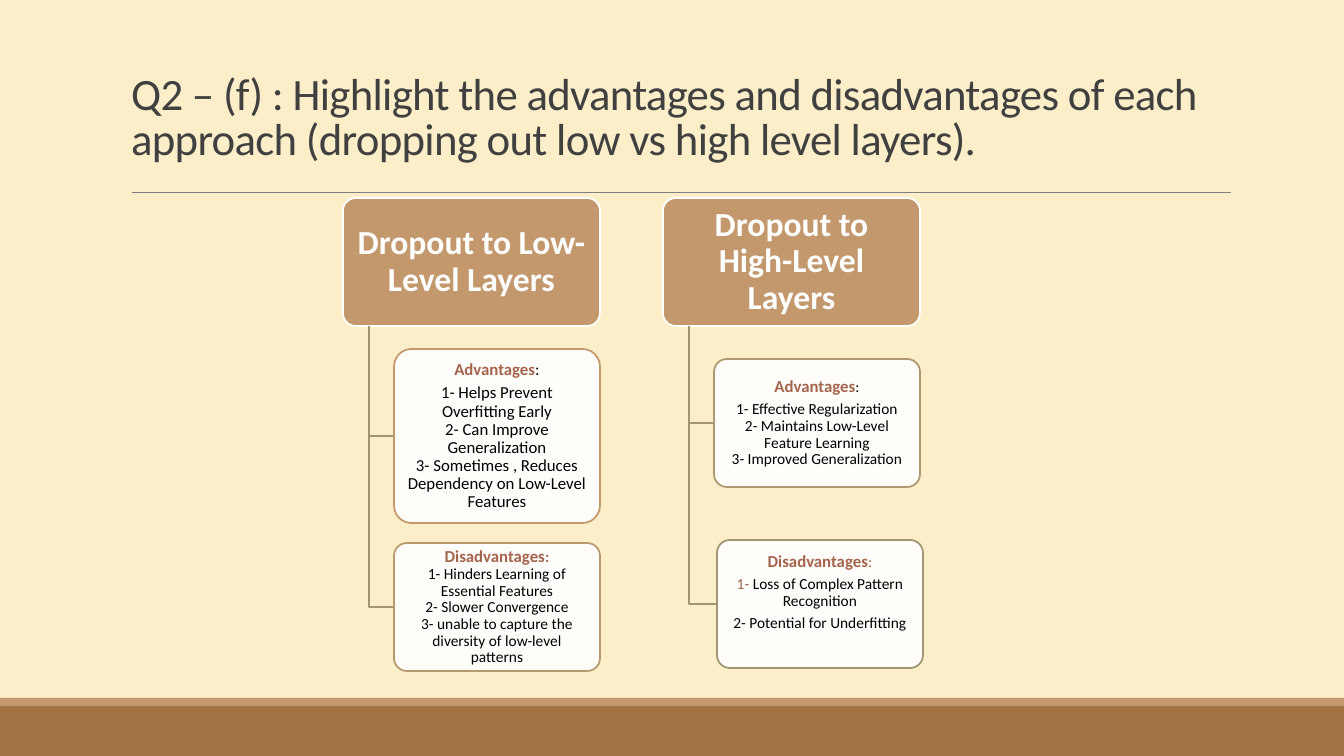
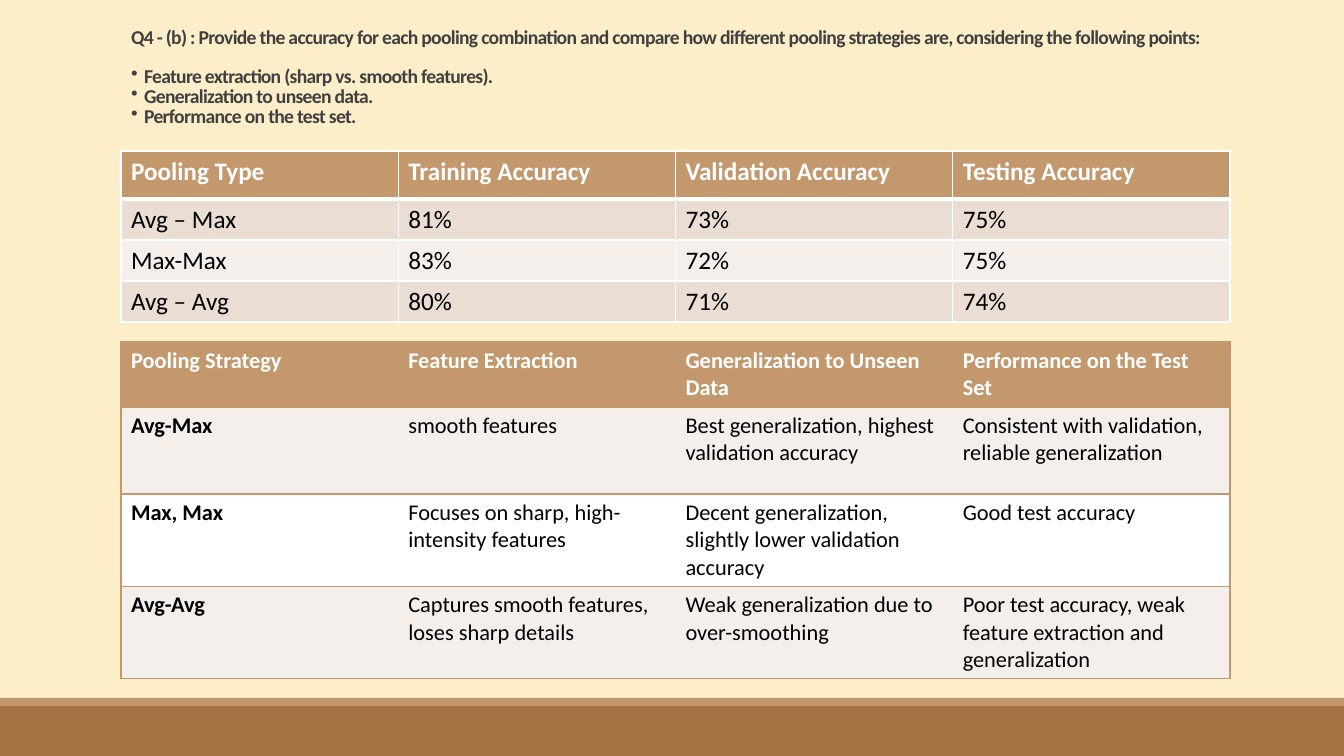
"""Build two slides on dropout placement and pooling strategies."""
from lxml.etree import SubElement
from pptx import Presentation
from pptx.dml.color import RGBColor
from pptx.enum.shapes import MSO_CONNECTOR, MSO_SHAPE
from pptx.enum.text import MSO_ANCHOR, MSO_AUTO_SIZE, PP_ALIGN
from pptx.oxml.ns import qn
from pptx.util import Pt

FONT = "Calibri"
CREAM = RGBColor(0xFB, 0xEE, 0xC9)
BROWN = RGBColor(0xA2, 0x72, 0x42)
TAN = RGBColor(0xC3, 0x98, 0x6D)
SAND = RGBColor(0xB8, 0x99, 0x6F)
KHAKI = RGBColor(0xAD, 0x98, 0x71)
OLIVE = RGBColor(0xA1, 0x95, 0x74)
RUST = RGBColor(0xA5, 0x64, 0x4E)
GRAY = RGBColor(0x80, 0x80, 0x80)
CHARCOAL = RGBColor(0x40, 0x40, 0x40)
BEIGE = RGBColor(0xE9, 0xDD, 0xD4)
PALE = RGBColor(0xF5, 0xEF, 0xEB)
WHITE = RGBColor(0xFF, 0xFF, 0xFF)
BLACK = RGBColor(0, 0, 0)

SLIDE_WIDTH, SLIDE_HEIGHT = 1344, 756
CONTENT_LEFT, CONTENT_WIDTH = 121, 1109
BANDS = [(698, 8, TAN), (706, 50, BROWN)]
RULE = (132, 1231, 192)

DROPOUT_TITLE = [
    "Q2 – (f) : Highlight the advantages and disadvantages of each approach "
    "(dropping out low vs high level layers)."
]
POOLING_TITLE = [
    "Q4 - (b) : Provide the accuracy for each pooling combination and compare how "
    "different pooling strategies are, considering the following points:",
    "Feature extraction (sharp vs. smooth features).",
    "Generalization to unseen data.",
    "Performance on the test set.",
]

HEAD_TOP, HEAD_WIDTH, HEAD_HEIGHT = 198, 257, 128
TRUNK_OFFSET, LEAF_OFFSET, LEAF_WIDTH = 26, 51, 206
BRANCHES = [
    {"left": 343, "text": "Dropout to Low-Level Layers", "leaves": [
        {"heading": "Advantages", "colon": (BLACK, False), "number": BLACK,
         "items": ["Helps Prevent Overfitting Early", "Can Improve Generalization",
                   "Sometimes , Reduces Dependency on Low-Level Features"],
         "size": 12, "gaps": (4, 0), "place": (0, 349, 174), "bottom": 6, "line": TAN},
        {"heading": "Disadvantages", "colon": (RUST, True), "number": BLACK,
         "items": ["Hinders Learning of Essential Features", "Slower Convergence",
                   "unable to capture the diversity of low-level patterns"],
         "size": 11, "gaps": (0, 0), "place": (0, 543, 128), "bottom": 6, "line": SAND},
    ]},
    {"left": 663, "text": "Dropout to High-Level Layers", "leaves": [
        {"heading": "Advantages", "colon": (BLACK, False), "number": BLACK,
         "items": ["Effective Regularization", "Maintains Low-Level Feature Learning",
                   "Improved Generalization"],
         "size": 11, "gaps": (4, 0), "place": (0, 359, 128), "bottom": 6, "line": KHAKI},
        {"heading": "Disadvantages", "colon": (RUST, False), "number": RUST,
         "items": ["Loss of Complex Pattern Recognition", "Potential for Underfitting"],
         "size": 11, "gaps": (4, 4), "place": (3, 540, 128), "bottom": 29, "line": OLIVE},
    ]},
]

ACCURACY_ROWS = [
    ("Pooling Type", "Training Accuracy", "Validation Accuracy", "Testing Accuracy"),
    ("Avg – Max", "81%", "73%", "75%"),
    ("Max-Max", "83%", "72%", "75%"),
    ("Avg – Avg", "80%", "71%", "74%"),
]
STRATEGY_ROWS = [
    ("Pooling Strategy", "Feature Extraction", "Generalization to Unseen Data",
     "Performance on the Test Set"),
    ("Avg-Max", "smooth features", "Best generalization, highest validation accuracy",
     "Consistent with validation, reliable generalization"),
    ("Max, Max", "Focuses on sharp, high-intensity features",
     "Decent generalization, slightly lower validation accuracy", "Good test accuracy"),
    ("Avg-Avg", "Captures smooth features, loses sharp details",
     "Weak generalization due to over-smoothing",
     "Poor test accuracy, weak feature extraction and generalization"),
]


def px(value):
    return round(value * 914400 / 100.8)


def style_run(run, size, colour, bold=False):
    run.font.name = FONT
    run.font.size = Pt(size)
    run.font.color.rgb = colour
    run.font.bold = bold


def add_run(paragraph, text, size, colour, bold=False):
    run = paragraph.add_run()
    run.text = text
    style_run(run, size, colour, bold)


def add_box(slide, kind, box, fill, line=None):
    shape = slide.shapes.add_shape(kind, *map(px, box))
    shape.shadow.inherit = False
    shape.fill.solid()
    shape.fill.fore_color.rgb = fill
    if line is None:
        shape.line.fill.background()
    else:
        shape.line.color.rgb = line
        shape.line.width = Pt(1.25)
    return shape


def decorate_master(presentation, slide):
    master = presentation.slide_master
    master.background.fill.solid()
    master.background.fill.fore_color.rgb = CREAM
    decorations = [
        add_box(slide, MSO_SHAPE.RECTANGLE, (0, top, SLIDE_WIDTH, height), colour)
        for top, height, colour in BANDS
    ]
    left, right, y = RULE
    rule = slide.shapes.add_connector(MSO_CONNECTOR.STRAIGHT, px(left), px(y), px(right), px(y))
    rule.line.color.rgb = GRAY
    rule.line.width = Pt(0.5)
    SubElement(rule.element.spPr, qn("a:effectLst"))
    decorations.append(rule)
    for number, shape in enumerate(decorations):
        shape.element.xpath("./*/p:cNvPr")[0].set("id", str(100 + number))
        master.element.cSld.spTree.insert(2 + number, shape.element)


def set_title(slide, lines, top, height, size, bold=False):
    title = slide.shapes.title
    title.left, title.top = px(CONTENT_LEFT), px(top)
    title.width, title.height = px(CONTENT_WIDTH), px(height)
    frame = title.text_frame
    frame.text = "\n".join(lines)
    frame.word_wrap = True
    frame.auto_size = MSO_AUTO_SIZE.NONE
    frame.vertical_anchor = MSO_ANCHOR.BOTTOM
    for index, paragraph in enumerate(frame.paragraphs):
        paragraph.alignment = PP_ALIGN.LEFT
        paragraph.line_spacing = 0.85
        paragraph.space_before = Pt(14 if index == 1 else 0)
        if index:
            properties = paragraph._p.get_or_add_pPr()
            properties.set("marL", str(px(13)))
            properties.set("indent", str(-px(13)))
            SubElement(properties, qn("a:buChar")).set("char", "•")
        for run in paragraph.runs:
            style_run(run, size, CHARCOAL, bold)
            run.font._element.set("spc", "-50")


def add_node(slide, box, fill, line, side, bottom):
    shape = add_box(slide, MSO_SHAPE.ROUNDED_RECTANGLE, box, fill, line)
    shape.adjustments[0] = 0.1
    frame = shape.text_frame
    frame.word_wrap = True
    frame.vertical_anchor = MSO_ANCHOR.MIDDLE
    frame.margin_left = frame.margin_right = px(side)
    frame.margin_top, frame.margin_bottom = px(6), px(bottom)
    return shape


def format_node_paragraph(paragraph, gap):
    paragraph.alignment = PP_ALIGN.CENTER
    paragraph.line_spacing = 0.9
    paragraph.space_after = Pt(gap)


def add_elbow(slide, x, y, end_x, end_y):
    builder = slide.shapes.build_freeform(px(x), px(y))
    builder.add_line_segments([(px(x), px(end_y)), (px(end_x), px(end_y))], close=False)
    elbow = builder.convert_to_shape()
    elbow.shadow.inherit = False
    elbow.fill.background()
    elbow.line.color.rgb = OLIVE
    elbow.line.width = Pt(1.25)


def add_leaf(slide, branch_left, leaf):
    shift, top, height = leaf["place"]
    left = branch_left + LEAF_OFFSET + shift
    add_elbow(slide, branch_left + TRUNK_OFFSET, HEAD_TOP + HEAD_HEIGHT, left, top + height / 2)
    shape = add_node(slide, (left, top, LEAF_WIDTH, height), WHITE, leaf["line"], 8, leaf["bottom"])
    colour = shape.element.spPr.find(qn("a:solidFill"))[0]
    SubElement(colour, qn("a:alpha")).set("val", "90000")

    size = leaf["size"]
    heading_gap, item_gap = leaf["gaps"]
    heading = shape.text_frame.paragraphs[0]
    format_node_paragraph(heading, heading_gap)
    add_run(heading, leaf["heading"], 12, RUST, True)
    add_run(heading, ":", size, *leaf["colon"])
    for number, item in enumerate(leaf["items"], 1):
        paragraph = shape.text_frame.add_paragraph()
        format_node_paragraph(paragraph, 4 if number == len(leaf["items"]) else item_gap)
        add_run(paragraph, f"{number}- ", size, leaf["number"] if number == 1 else BLACK)
        add_run(paragraph, item, size, BLACK)


def add_branch(slide, branch):
    box = (branch["left"], HEAD_TOP, HEAD_WIDTH, HEAD_HEIGHT)
    head = add_node(slide, box, TAN, WHITE, 9, 6)
    paragraph = head.text_frame.paragraphs[0]
    format_node_paragraph(paragraph, 0)
    add_run(paragraph, branch["text"], 24, WHITE, True)
    for leaf in branch["leaves"]:
        add_leaf(slide, branch["left"], leaf)


def set_border(cell, side, colour, width):
    line = SubElement(cell._tc.get_or_add_tcPr(), qn(f"a:ln{side}"))
    line.set("w", str(Pt(width)))
    if colour is None:
        SubElement(line, qn("a:noFill"))
    else:
        fill = SubElement(line, qn("a:solidFill"))
        SubElement(fill, qn("a:srgbClr")).set("val", str(colour))


def add_grid(slide, rows, top, heights, size, fills, border, inner_border, header_rule, bold_labels):
    columns = len(rows[0])
    table = slide.shapes.add_table(
        len(rows), columns, px(CONTENT_LEFT), px(top), px(CONTENT_WIDTH), px(sum(heights))
    ).table
    for column in table.columns:
        column.width = px(CONTENT_WIDTH / columns)
    for row_index, (values, height) in enumerate(zip(rows, heights)):
        table.rows[row_index].height = px(height)
        header = row_index == 0
        for column_index, value in enumerate(values):
            cell = table.cell(row_index, column_index)
            set_border(cell, "L", border if column_index == 0 else inner_border, 1)
            set_border(cell, "R", border if column_index == columns - 1 else inner_border, 1)
            set_border(cell, "T", border, header_rule if row_index == 1 else 1)
            set_border(cell, "B", border, header_rule if header else 1)
            cell.fill.solid()
            cell.fill.fore_color.rgb = TAN if header else fills[(row_index - 1) % len(fills)]
            bold = header or (bold_labels and column_index == 0)
            add_run(cell.text_frame.paragraphs[0], value, size, WHITE if header else BLACK, bold)


def main():
    presentation = Presentation()
    presentation.slide_width, presentation.slide_height = px(SLIDE_WIDTH), px(SLIDE_HEIGHT)
    title_only = presentation.slide_layouts[5]

    dropout_slide = presentation.slides.add_slide(title_only)
    decorate_master(presentation, dropout_slide)
    set_title(dropout_slide, DROPOUT_TITLE, 31, 139, 32)
    for branch in BRANCHES:
        add_branch(dropout_slide, branch)

    pooling_slide = presentation.slides.add_slide(title_only)
    set_title(pooling_slide, POOLING_TITLE, 21, 112, 14, True)
    add_grid(pooling_slide, ACCURACY_ROWS, 151, (48, 41, 41, 41), 18,
             (BEIGE, PALE), WHITE, WHITE, 3, False)
    add_grid(pooling_slide, STRATEGY_ROWS, 342, (65, 87, 92, 92), 16,
             (PALE, WHITE), TAN, None, 1, True)
    presentation.save("out.pptx")


if __name__ == "__main__":
    main()
